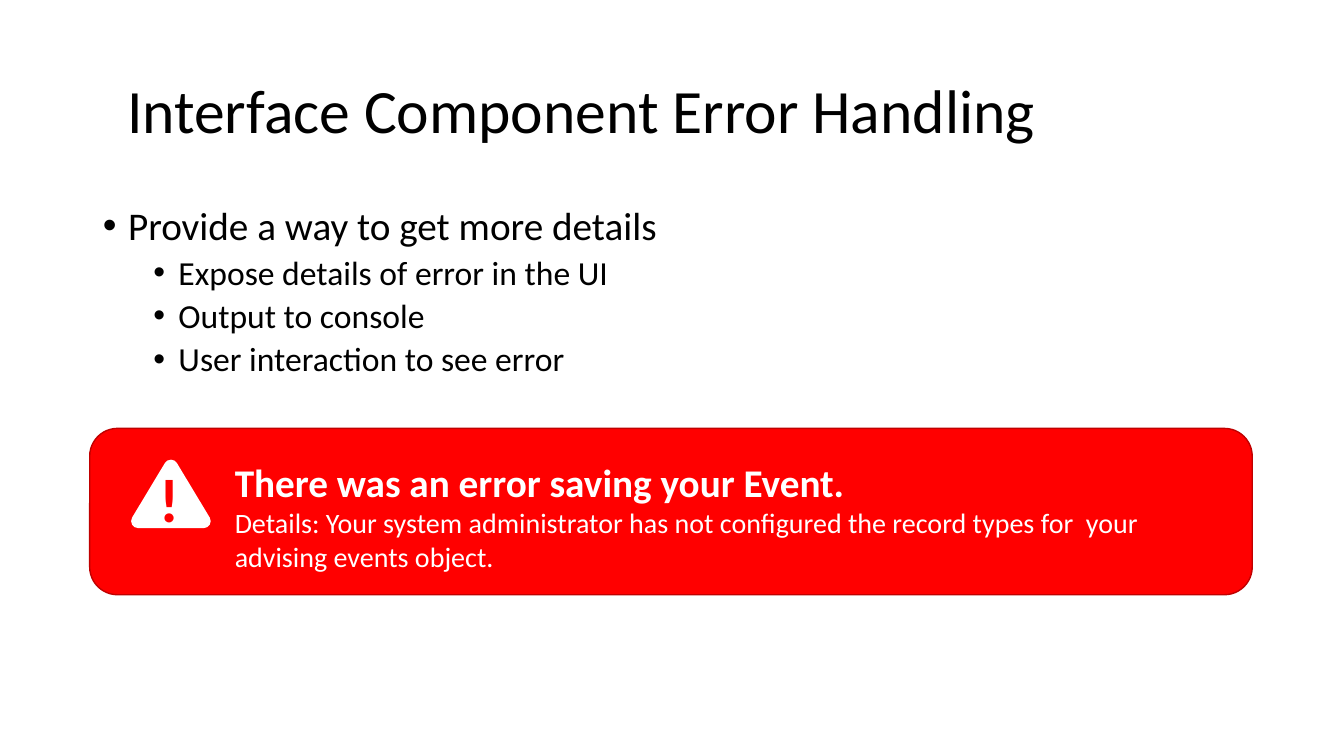
from lxml import etree
from pptx import Presentation
from pptx.dml.color import RGBColor
from pptx.enum.shapes import MSO_SHAPE
from pptx.enum.text import MSO_ANCHOR, MSO_AUTO_SIZE, PP_ALIGN
from pptx.oxml.ns import qn
from pptx.util import Inches, Pt

ROUNDED = MSO_SHAPE.ROUNDED_RECTANGLE
TRIANGLE = MSO_SHAPE.ISOSCELES_TRIANGLE
MIDDLE, TOP = MSO_ANCHOR.MIDDLE, MSO_ANCHOR.TOP
LEFT, CENTER = PP_ALIGN.LEFT, PP_ALIGN.CENTER
NO_FIT = MSO_AUTO_SIZE.NONE
FONT = "Calibri"
COLORS = {"text": "000000", "alert": "FF0000", "border": "C00000", "white": "FFFFFF"}
TITLE = "Interface Component Error Handling"
BULLETS = [
    (0, "Provide a way to get more details"),
    (1, "Expose details of error in the UI"),
    (1, "Output to console"),
    (1, "User interaction to see error"),
]
MESSAGE = [
    ("There was an error saving your Event.", 28, True),
    ("Details: Your system administrator has not configured the record types for  your", 20, False),
    ("advising events object.", 20, False),
]


def color(name):
    """Return the named colour."""
    return RGBColor.from_string(COLORS[name])


def place(shape, box):
    """Move a shape to a box given in inches."""
    shape.left, shape.top, shape.width, shape.height = map(Inches, box)


def style(paragraph, size, color_name, bold=False, align=LEFT):
    """Set the font and alignment of a paragraph."""
    paragraph.alignment = align
    font = paragraph.font
    font.name, font.size, font.bold = FONT, Pt(size), bold
    font.color.rgb = color(color_name)


def add_title(slide, box):
    """Fill the title placeholder."""
    title = slide.shapes.title
    place(title, box)
    frame = title.text_frame
    frame.text = TITLE
    frame.vertical_anchor, frame.auto_size = MIDDLE, NO_FIT
    paragraph = frame.paragraphs[0]
    paragraph.line_spacing = 0.9
    style(paragraph, 44, "text")


def add_bullets(slide, box):
    """Fill the body placeholder with a two-level list."""
    body = slide.placeholders[1]
    place(body, box)
    frame = body.text_frame
    frame.text = "\n".join(text for _, text in BULLETS)
    frame.vertical_anchor, frame.auto_size = TOP, NO_FIT
    for paragraph, (level, _) in zip(frame.paragraphs, BULLETS):
        paragraph.level = level
        properties = paragraph._p.get_or_add_pPr()
        properties.set("marL", str(Inches(0.25 + 0.5 * level)))
        properties.set("indent", str(Inches(-0.25)))
        etree.SubElement(properties, qn("a:buFont")).set("typeface", "Arial")
        etree.SubElement(properties, qn("a:buChar")).set("char", "•")
        paragraph.line_spacing = 0.9
        paragraph.space_before = Pt(5 * level)
        style(paragraph, 28 - 4 * level, "text")


def add_block(slide, kind, box, fill, line, width):
    """Add a filled and outlined preset shape."""
    shape = slide.shapes.add_shape(kind, *map(Inches, box))
    shape.shadow.inherit = False
    shape.fill.solid()
    shape.fill.fore_color.rgb = color(fill)
    shape.line.color.rgb = color(line)
    shape.line.width = Pt(width)
    return shape


def add_text(slide, box, lines, color_name, align=LEFT):
    """Add an unwrapped text box with one paragraph per line."""
    frame = slide.shapes.add_textbox(*map(Inches, box)).text_frame
    frame.word_wrap = False
    frame.text = "\n".join(text for text, _, _ in lines)
    for paragraph, (_, size, bold) in zip(frame.paragraphs, lines):
        style(paragraph, size, color_name, bold, align)


def add_alert(slide, box):
    """Draw the error banner with its warning sign and message."""
    left, top, _, _ = box
    add_block(slide, ROUNDED, box, "alert", "border", 1)
    sign_box = (left + 0.48, top + 0.38, 0.65, 0.54)
    sign = add_block(slide, TRIANGLE, sign_box, "white", "white", 10)
    etree.SubElement(sign.line._get_or_add_ln(), qn("a:round"))
    add_text(slide, (left + 0.59, top + 0.27, 0.4, 0.84), [("!", 44, True)], "alert", CENTER)
    add_text(slide, (left + 1.34, top + 0.25, 9.25, 1.25), MESSAGE, "white")


def main():
    """Build and save the slide."""
    presentation = Presentation()
    presentation.slide_width, presentation.slide_height = Inches(13.33), Inches(7.5)
    slide = presentation.slides.add_slide(presentation.slide_layouts[1])
    add_title(slide, (1.16, 0.4, 11, 1.45))
    add_bullets(slide, (0.92, 2, 11.5, 1.89))
    add_alert(slide, (0.89, 4.25, 11.53, 1.65))
    presentation.save("out.pptx")


if __name__ == "__main__":
    main()
